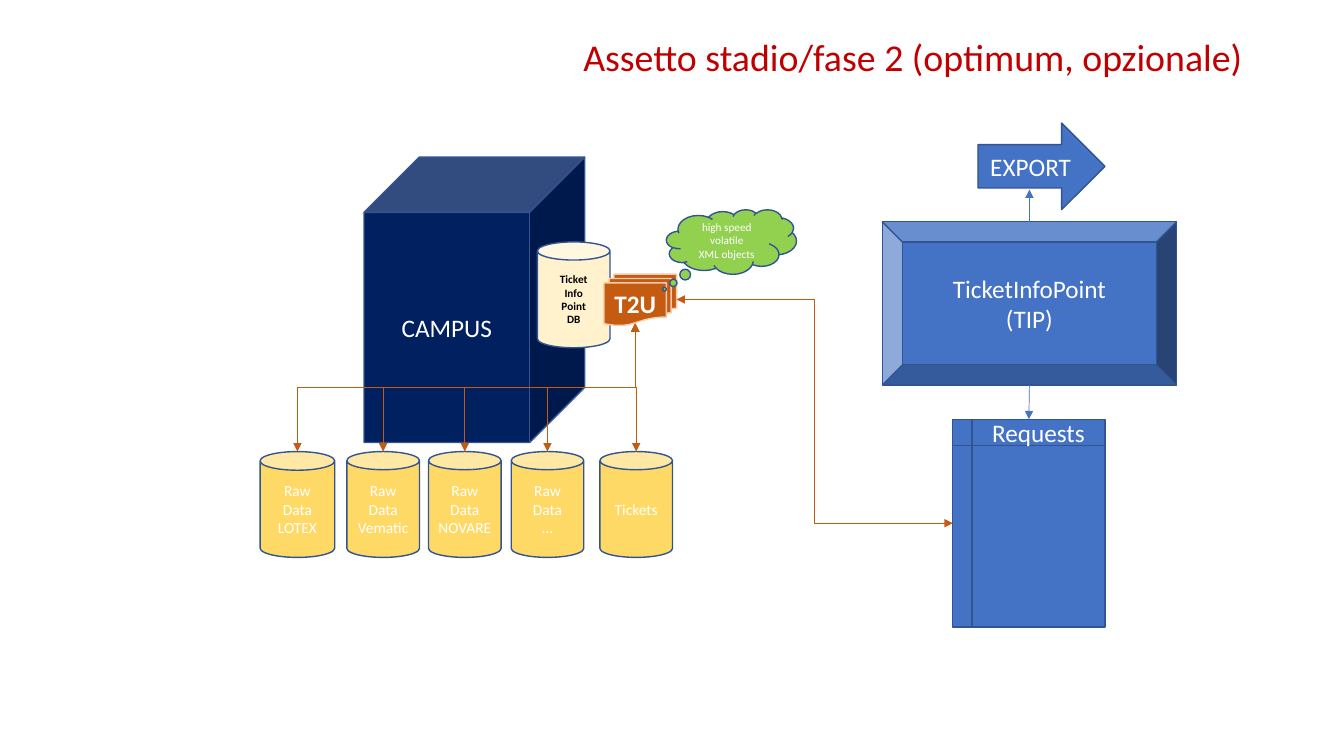
from lxml import etree
from pptx import Presentation
from pptx.dml.color import RGBColor
from pptx.enum import shapes, text
from pptx.oxml.ns import qn
from pptx.util import Inches, Pt

COLORS = {
    "title": "C00000", "outline": "325491", "blue": "4472C4", "navy": "002060",
    "raw": "FFD966", "db": "FFF2CC", "t2u": "C55A11", "t2u_line": "F8CBAD",
    "cloud": "92D050", "white": "FFFFFF", "black": "000000",
}
FONT = "Calibri"
TITLE = "Assetto stadio/fase 2 (optimum, opzionale)"

# left, width, lines of each store under the cube
STORES = [
    (2.58, 0.74, ["Raw", "Data", "LOTEX"]),
    (3.44, 0.72, ["Raw", "Data", "Vematic"]),
    (4.25, 0.72, ["Raw", "Data", "NOVARE"]),
    (5.07, 0.72, ["Raw", "Data", "…"]),
    (5.95, 0.72, ["Tickets"]),
]
STORE_TOP, STORE_HEIGHT = 4.48, 1.05
T2U_BOTTOM = (6.3, 3.21)
T2U_RIGHT = (6.71, 2.97)
REQUESTS_LEFT = (9.45, 5.19)
TIP_CENTER = 10.21

KIND = shapes.MSO_SHAPE
LINK = shapes.MSO_CONNECTOR


def rgb(name):
    return RGBColor.from_string(COLORS[name])


def add_run(p, words, size, color, bold=False):
    r = p.add_run()
    r.text = words
    r.font.name, r.font.size, r.font.bold = FONT, Pt(size), bold
    r.font.color.rgb = rgb(color)


def add_box(slide, kind, box, lines, fill, size=18, color="white",
            bold=False, outline="outline"):
    sp = slide.shapes.add_shape(kind, *map(Inches, box))
    sp.shadow.inherit = False
    sp.fill.solid()
    sp.fill.fore_color.rgb = rgb(fill)
    sp.line.color.rgb = rgb(outline)
    sp.line.width = Pt(1)
    tf = sp.text_frame
    tf.word_wrap = False
    tf.vertical_anchor = text.MSO_ANCHOR.MIDDLE
    for i, words in enumerate(lines):
        p = tf.add_paragraph() if i else tf.paragraphs[0]
        p.alignment = text.PP_ALIGN.CENTER
        add_run(p, words, size, color, bold)
    return sp


def add_link(slide, kind, start, end, color, ends=("tailEnd",)):
    c = slide.shapes.add_connector(kind, *map(Inches, start + end))
    c.line.color.rgb = rgb(color)
    c.line.width = Pt(0.5)
    ln = c.line._get_or_add_ln()
    for tag in ends:
        etree.SubElement(ln, qn("a:" + tag), type="triangle")
    etree.SubElement(c._element.spPr, qn("a:effectLst"))
    return c


def add_vertical_elbow(slide, start, end, color, ends):
    """Elbow that leaves and arrives vertically: a level one turned by 90°."""
    (x0, y0), (x1, y1) = start, end
    mid_x, mid_y = (x0 + x1) / 2, (y0 + y1) / 2
    half_w, half_h = (y1 - y0) / 2, (x0 - x1) / 2
    c = add_link(slide, LINK.ELBOW, (mid_x - half_w, mid_y - half_h),
                 (mid_x + half_w, mid_y + half_h), color, ends)
    c._element.spPr.find(qn("a:xfrm")).set("rot", "5400000")


def add_title(slide):
    sp = slide.shapes.title
    sp.left, sp.top, sp.width, sp.height = map(Inches, (0.92, 0.4, 11.5, 0.42))
    tf = sp.text_frame
    tf.word_wrap = True
    tf.auto_size = text.MSO_AUTO_SIZE.NONE
    tf.vertical_anchor = text.MSO_ANCHOR.MIDDLE
    p = tf.paragraphs[0]
    p.alignment = text.PP_ALIGN.RIGHT
    p.line_spacing = 0.7
    add_run(p, TITLE, 27, "title")


def main():
    prs = Presentation()
    prs.slide_width, prs.slide_height = Inches(13.33), Inches(7.5)
    slide = prs.slides.add_slide(prs.slide_layouts[5])
    both = ("headEnd", "tailEnd")

    add_title(slide)
    add_box(slide, KIND.CUBE, (3.61, 1.56, 2.19, 2.83), ["CAMPUS"], "navy")
    for left, width, lines in STORES:
        add_box(slide, KIND.CAN, (left, STORE_TOP, width, STORE_HEIGHT),
                lines, "raw", 11)

    requests = add_box(slide, KIND.FLOWCHART_INTERNAL_STORAGE,
                       (9.45, 4.16, 1.51, 2.06), ["Requests"], "blue")
    requests.text_frame.vertical_anchor = text.MSO_ANCHOR.TOP
    requests.text_frame.margin_top = Inches(-0.28)  # lifts the label into the header strip
    add_box(slide, KIND.BEVEL, (8.75, 2.2, 2.92, 1.62),
            ["TicketInfoPoint", "(TIP)"], "blue")
    to_requests = add_link(slide, LINK.STRAIGHT, (TIP_CENTER, 3.82),
                           (TIP_CENTER, 4.16), "blue")
    to_requests.end_connect(requests, 0)

    add_box(slide, KIND.CAN, (5.33, 2.4, 0.72, 1.05),
            ["Ticket", "Info", "Point", "DB"], "db", 8, "black", True)
    add_box(slide, KIND.FLOWCHART_MULTIDOCUMENT, (5.99, 2.72, 0.72, 0.51),
            ["T2U"], "t2u", bold=True, outline="t2u_line")
    for left, width, _ in STORES:
        add_vertical_elbow(slide, T2U_BOTTOM, (left + width / 2, STORE_TOP),
                           "t2u", both)

    cloud = add_box(slide, KIND.CLOUD_CALLOUT, (6.61, 2.08, 1.29, 0.64),
                    ["high speed", "volatile", "XML objects"], "cloud", 8)
    cloud.adjustments[0], cloud.adjustments[1] = -0.515, 0.734
    add_link(slide, LINK.ELBOW, T2U_RIGHT, REQUESTS_LEFT, "t2u", both)

    add_box(slide, KIND.RIGHT_ARROW, (9.7, 1.22, 1.26, 0.86), ["EXPORT"], "blue")
    add_link(slide, LINK.STRAIGHT, (TIP_CENTER, 2.2), (TIP_CENTER, 1.88), "blue")
    prs.save("out.pptx")


if __name__ == "__main__":
    main()
